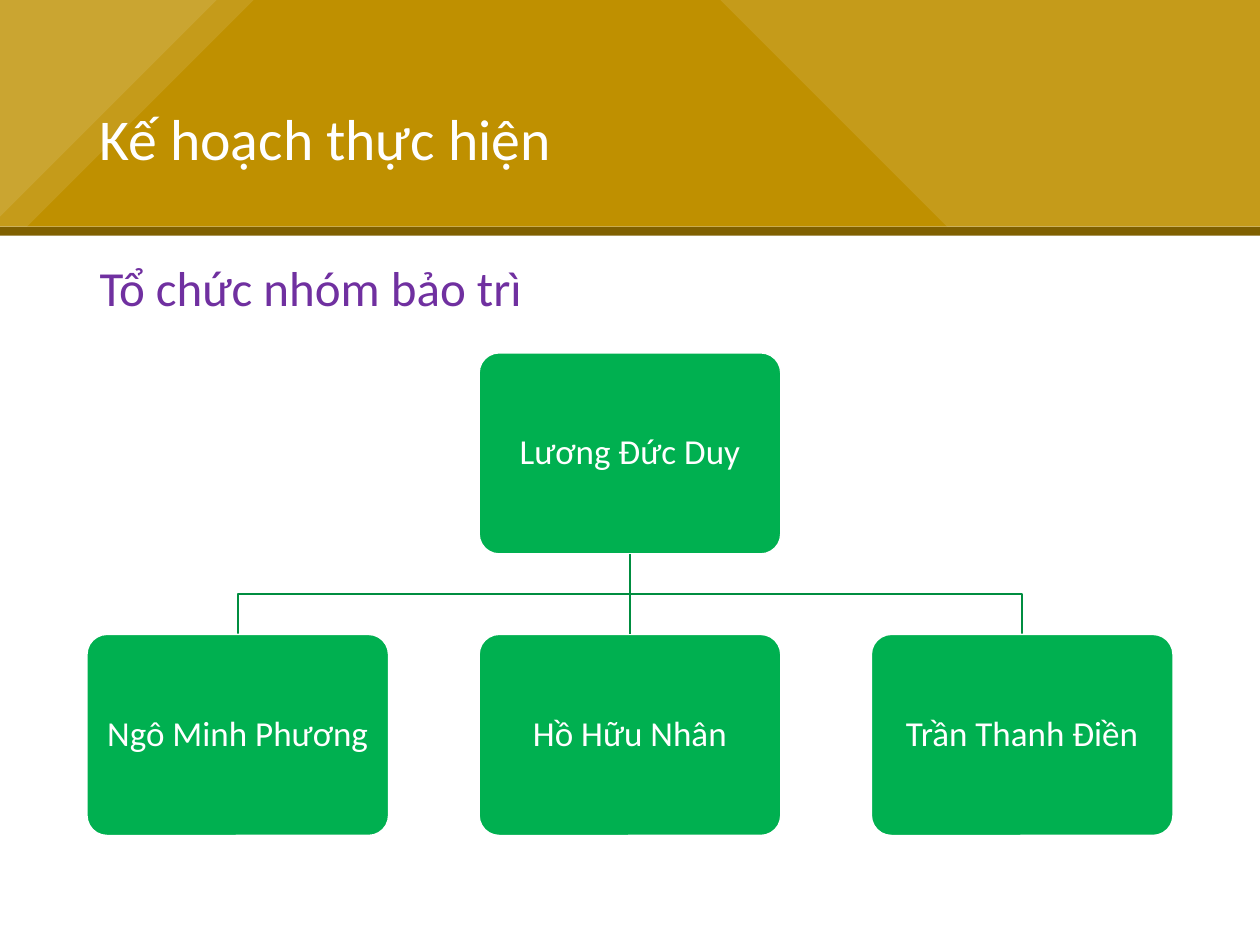
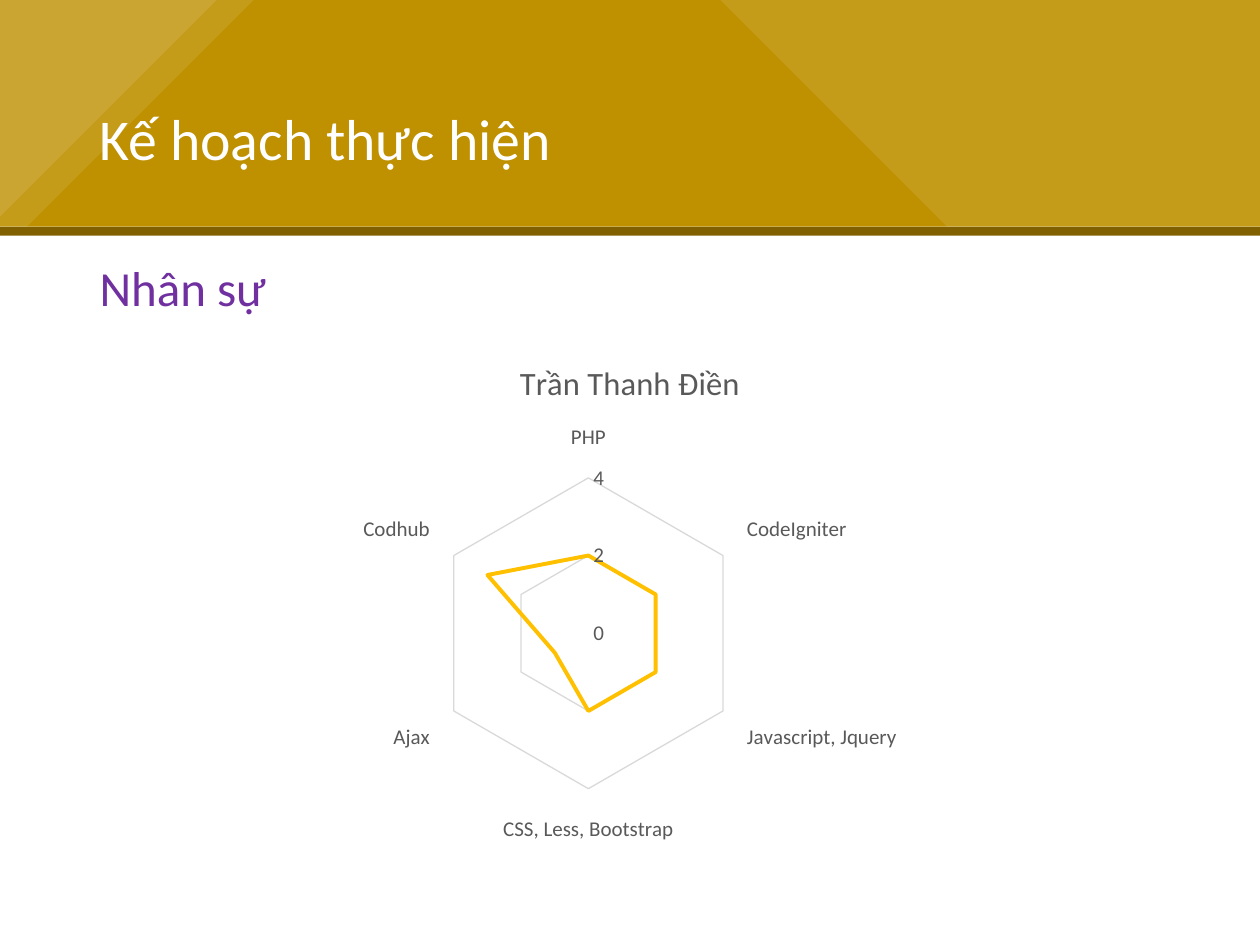
"""Build two plan slides: a team chart and a skill radar."""
from lxml import etree
from pptx import Presentation
from pptx import util as u
from pptx.chart import data
from pptx.dml.color import RGBColor
from pptx.enum import chart as ch, shapes, text
from pptx.oxml import ns

WHITE = RGBColor(0xFF, 0xFF, 0xFF)
GOLD = RGBColor(0xBF, 0x90, 0x00)
BROWN = RGBColor(0x80, 0x60, 0x00)
PURPLE = RGBColor(0x70, 0x30, 0xA0)
GREEN = RGBColor(0x00, 0xB0, 0x50)
PINE = RGBColor(0x00, 0x8D, 0x40)
GREY = RGBColor(0x59, 0x59, 0x59)
PALE = RGBColor(0xD9, 0xD9, 0xD9)
AMBER = RGBColor(0xFF, 0xC0, 0x00)
FONT = "Calibri"

TITLE = "Kế hoạch thực hiện"
TEAM = "Tổ chức nhóm bảo trì"
STAFF = "Nhân sự"
LEAD = "Lương Đức Duy"
CREW = ["Ngô Minh Phương", "Hồ Hữu Nhân", "Trần Thanh Điền"]
SKILLS = {"PHP": 2, "CodeIgniter": 2, "Javascript, Jquery": 2,
          "CSS, Less, Bootstrap": 2, "Ajax": 1, "Codhub": 3}

WIDE, HIGH = 10, 7.5
EDGE = 0.69
SPAN = WIDE - 2 * EDGE
BAND, RULE = 1.8, 0.07
BOX_W = SPAN / 3.6
BOX_H = BOX_W * 2 / 3
STEP = BOX_W * 1.3
TOP = 2.8
LOW = TOP + BOX_H * 1.4
RAYS = [
    ((-3.1, -2.49, 6.58, 3.33), 315),
    ((-3.24, -2.46, 7.39, 3.33), 315),
    ((3.42, -4.3, 9.2, 5.47), 45),
]


def inch(*nums):
    return [u.Inches(n) for n in nums]


def write(frame, words, size=20, color=WHITE, align=text.PP_ALIGN.LEFT,
          anchor=text.MSO_ANCHOR.MIDDLE, before=0, inset=None):
    frame.word_wrap = True
    frame.auto_size = text.MSO_AUTO_SIZE.NONE
    frame.vertical_anchor = anchor
    if inset is not None:
        frame.margin_left = frame.margin_right = u.Inches(inset)
    par = frame.paragraphs[0]
    par.alignment, par.line_spacing = align, 0.9
    par.space_before = u.Pt(before)
    run = par.add_run()
    run.text = words
    style(run.font, size, color)
    return par


def style(font, size, color):
    font.name, font.size, font.bold = FONT, u.Pt(size), False
    font.color.rgb = color


def block(slide, kind, spot, color):
    item = slide.shapes.add_shape(kind, *inch(*spot))
    item.shadow.inherit = False
    item.fill.solid()
    item.fill.fore_color.rgb = color
    item.line.fill.background()
    return item


def ray(slide, kind, spot, turn):
    item = block(slide, kind, spot, WHITE)
    item.rotation = turn
    tint = item.element.xpath("./p:spPr/a:solidFill/a:srgbClr")[0]
    etree.SubElement(tint, ns.qn("a:alpha"), val="10000")
    return item


def stroke(item, color):
    item.line.color.rgb = color
    item.line.width = u.Pt(0.85)


def dress(layout, slide):
    rect = shapes.MSO_SHAPE.RECTANGLE
    parts = [block(slide, rect, (0, 0, WIDE, BAND), GOLD)]
    parts += [ray(slide, rect, spot, turn) for spot, turn in RAYS]
    parts.append(block(slide, rect, (0, BAND, WIDE, RULE), BROWN))
    for n, part in enumerate(parts):
        part.element.xpath("./p:nvSpPr/p:cNvPr")[0].set("id", str(20 + n))
        layout.shapes.element.insert(2 + n, part.element)
    spots = [(EDGE, 0.4, SPAN, 1.45), (EDGE, 2.05, SPAN, 0.56)]
    for hold, spot in zip(layout.placeholders, spots):
        hold.left, hold.top, hold.width, hold.height = inch(*spot)


def fill(slide, topic):
    write(slide.shapes.title.text_frame, TITLE, size=33)
    par = write(slide.placeholders[1].text_frame, topic, size=28,
                color=PURPLE, anchor=text.MSO_ANCHOR.TOP, before=7.5)
    props = par._p.get_or_add_pPr()
    props.set("marL", "0")
    props.set("indent", "0")
    etree.SubElement(props, ns.qn("a:buNone"))


def person(slide, name, col, top):
    spot = (EDGE + col * STEP, top, BOX_W, BOX_H)
    item = block(slide, shapes.MSO_SHAPE.ROUNDED_RECTANGLE, spot, GREEN)
    item.adjustments[0] = 0.1
    stroke(item, WHITE)
    write(item.text_frame, name, align=text.PP_ALIGN.CENTER, inset=0.05)
    return item


def arm(slide, points):
    first, *rest = [tuple(inch(*p)) for p in points]
    pen = slide.shapes.build_freeform(*first, scale=1.0)
    pen.add_line_segments(rest, close=False)
    item = pen.convert_to_shape()
    item.shadow.inherit = False
    item.fill.background()
    stroke(item, PINE)


def team(slide):
    mid, foot = WIDE / 2, TOP + BOX_H
    bend = (foot + LOW) / 2
    for end in (mid - STEP, mid + STEP):
        arm(slide, [(mid, foot), (mid, bend), (end, bend), (end, LOW)])
    lead = person(slide, LEAD, 1, TOP)
    crew = [person(slide, name, col, LOW) for col, name in enumerate(CREW)]
    stem = slide.shapes.add_connector(shapes.MSO_CONNECTOR.STRAIGHT,
                                      *inch(mid, foot, mid, LOW))
    stem.begin_connect(lead, 2)
    stem.end_connect(crew[1], 0)
    stroke(stem, PINE)
    etree.SubElement(stem.element.spPr, ns.qn("a:effectLst"))


def radar(slide):
    table = data.CategoryChartData()
    table.categories = list(SKILLS)
    table.add_series(CREW[-1], list(SKILLS.values()))
    chart = slide.shapes.add_chart(ch.XL_CHART_TYPE.RADAR,
                                   *inch(EDGE, 2.68, SPAN, 4.08), table).chart
    style(chart.font, 10, RGBColor(0, 0, 0))
    chart.has_legend = False
    chart.has_title = True
    run = chart.chart_title.text_frame.paragraphs[0].add_run()
    run.text = CREW[-1]
    style(run.font, 18.6, GREY)
    cat, val = chart.category_axis, chart.value_axis
    for axis in (cat, val):
        style(axis.tick_labels.font, 12, GREY)
        axis.major_tick_mark = axis.minor_tick_mark = ch.XL_TICK_MARK.NONE
    cat.has_major_gridlines = False
    val.has_major_gridlines = True
    for line in (cat.format.line, val.major_gridlines.format.line):
        line.color.rgb, line.width = PALE, u.Pt(0.75)
    val.format.line.fill.background()
    val.minimum_scale, val.maximum_scale, val.major_unit = 0, 4, 2
    plot = chart.plots[0]
    plot.vary_by_categories = False
    line = plot.series[0].format.line
    line.color.rgb, line.width = AMBER, u.Pt(2.25)


def main():
    deck = Presentation()
    deck.slide_width, deck.slide_height = inch(WIDE, HIGH)
    layout = deck.slide_layouts[1]
    for n, (topic, draw) in enumerate([(TEAM, team), (STAFF, radar)]):
        slide = deck.slides.add_slide(layout)
        if n == 0:
            dress(layout, slide)
        fill(slide, topic)
        draw(slide)
    deck.save("out.pptx")


if __name__ == "__main__":
    main()
